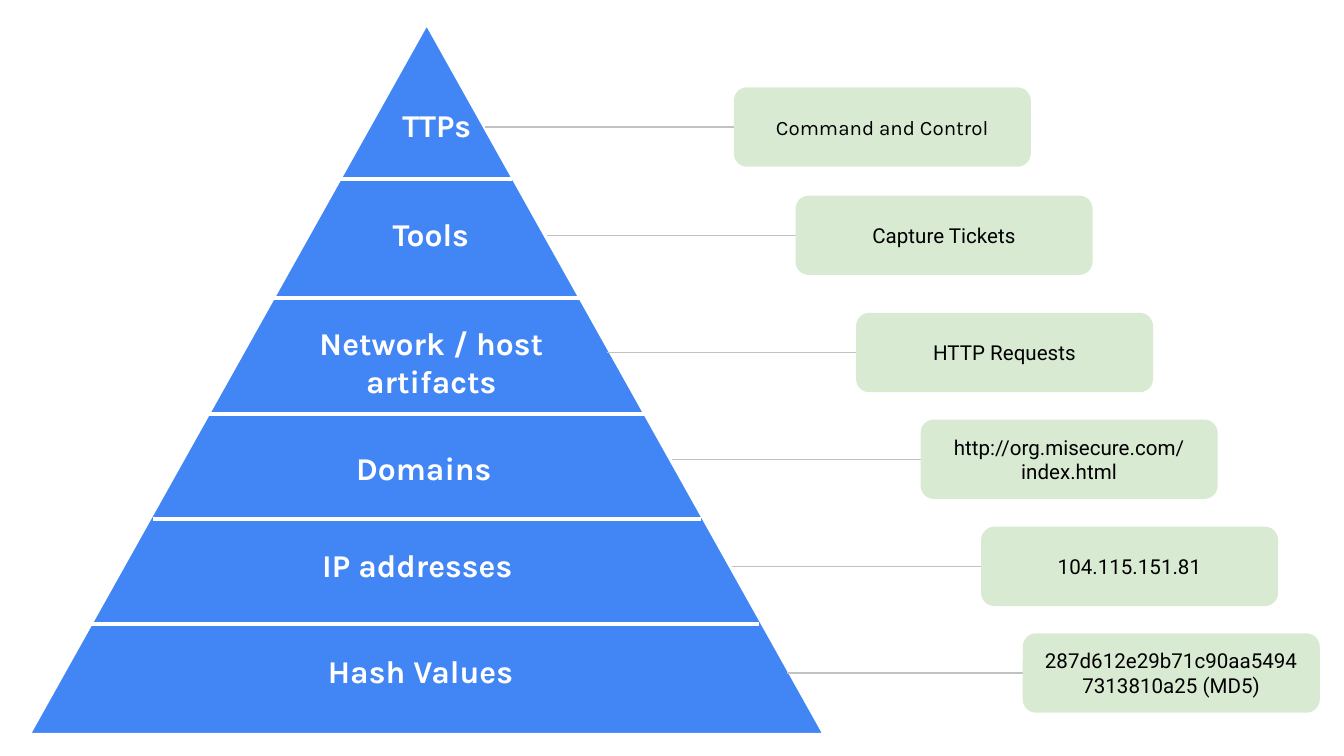
import pptx
import pptx.util
import pptx.dml.color
import pptx.enum.shapes
import pptx.enum.text
import pptx.oxml

Pt = pptx.util.Pt
Shapes = pptx.enum.shapes.MSO_SHAPE
Connectors = pptx.enum.shapes.MSO_CONNECTOR
Align = pptx.enum.text.PP_ALIGN
Anchor = pptx.enum.text.MSO_ANCHOR

BLUE, GREEN, GREY, WHITE, BLACK = "4285F4", "D9EAD3", "C2C2C2", "FFFFFF", "000000"
INSET = 7.2
CALLOUT_WIDTH, CALLOUT_HEIGHT = 159.1, 42.5

LABEL_FORMAT = {"name": "Karla", "size": Pt(17), "bold": True}
CALLOUT_FORMAT = {"size": Pt(11), "bold": False}

# Pyramid level: text, left, top, width, height
LABELS = [
    ("TTPs", 202.3, 49.7, 63.4, 35.3),
    ("Tools", 164.2, 108, 133.2, 35.3),
    ("Network / host artifacts", 152.6, 166.3, 157, 55.4),
    ("Domains", 167, 233.3, 120.2, 35.3),
    ("IP addresses", 137.5, 285.1, 172.1, 35.3),
    ("Hash Values", 152.6, 342, 145.4, 35.3),
]
# Divider: start x, end x, y
DIVIDERS = [
    (182.2, 274.3, 95.8),
    (146.2, 311, 159.8),
    (110.9, 344.9, 221.8),
    (82.1, 375.8, 277.9),
    (49, 406.8, 334.1),
]
# Example: text, font, leader start x, left, top
CALLOUTS = [
    ("Command and Control", "Karla", 259.9, 393.1, 46.8),
    ("Capture Tickets", "Roboto", 293, 426.2, 104.8),
    ("HTTP Requests", "Roboto", 325.4, 458.6, 167.6),
    ("http://org.misecure.com/index.html", "Roboto", 360, 493.2, 224.8),
    ("104.115.151.81", "Roboto", 392.4, 525.6, 282.2),
    ("287d612e29b71c90aa54947313810a25 (MD5)", "Roboto", 421.6, 547.9, 339.3),
]


def color(hex_string):
    return pptx.dml.color.RGBColor.from_string(hex_string)


def write_text(shape, text, font_color, font_format, anchor):
    frame = shape.text_frame
    frame_format = {"word_wrap": True, "vertical_anchor": anchor}
    for side in ("left", "top", "right", "bottom"):
        frame_format["margin_" + side] = Pt(INSET)
    for name, value in frame_format.items():
        setattr(frame, name, value)
    paragraph = frame.paragraphs[0]
    paragraph.alignment = Align.CENTER
    run = paragraph.add_run()
    run.text = text
    for name, value in font_format.items():
        setattr(run.font, name, value)
    run.font.color.rgb = color(font_color)


def add_shape(slide, kind, left, top, width, height, fill):
    shape = slide.shapes.add_shape(kind, Pt(left), Pt(top), Pt(width), Pt(height))
    shape.shadow.inherit = False
    shape.fill.solid()
    shape.fill.fore_color.rgb = color(fill)
    shape.line.fill.background()
    return shape


def add_horizontal_line(slide, kind, start, end, y, line_color, width):
    line = slide.shapes.add_connector(kind, Pt(start), Pt(y), Pt(end), Pt(y))
    line.line.color.rgb = color(line_color)
    line.line.width = Pt(width)
    line._element.spPr.append(pptx.oxml.parse_xml(
        '<a:effectLst xmlns:a="http://schemas.openxmlformats.org/drawingml/2006/main"/>'))
    return line


def add_pyramid(slide):
    pyramid = add_shape(slide, Shapes.ISOSCELES_TRIANGLE, 15.1, 12.2, 427, 381.6, BLUE)
    pyramid.line.color.rgb = color(WHITE)
    pyramid.line.width = Pt(2.25)
    for start, end, y in DIVIDERS:
        add_horizontal_line(slide, Connectors.STRAIGHT, start, end, y, WHITE, 2.25)


def add_label(slide, text, left, top, width, height):
    box = slide.shapes.add_textbox(Pt(left), Pt(top), Pt(width), Pt(height))
    write_text(box, text, WHITE, LABEL_FORMAT, Anchor.TOP)


def add_callout(slide, text, font_name, leader_start, left, top):
    """Add a rounded box with a leader from the pyramid's edge."""
    leader = add_horizontal_line(slide, Connectors.ELBOW, leader_start, left,
                                 top + CALLOUT_HEIGHT / 2, GREY, 0.75)
    box = add_shape(slide, Shapes.ROUNDED_RECTANGLE, left, top,
                    CALLOUT_WIDTH, CALLOUT_HEIGHT, GREEN)
    write_text(box, text, BLACK, {"name": font_name, **CALLOUT_FORMAT}, Anchor.MIDDLE)
    leader.end_connect(box, 1)


def main():
    presentation = pptx.Presentation()
    presentation.slide_width = Pt(720)
    presentation.slide_height = Pt(405)
    slide = presentation.slides.add_slide(presentation.slide_layouts[6])
    add_pyramid(slide)
    for label in LABELS:
        add_label(slide, *label)
    for callout in CALLOUTS:
        add_callout(slide, *callout)
    presentation.save("out.pptx")


if __name__ == "__main__":
    main()
